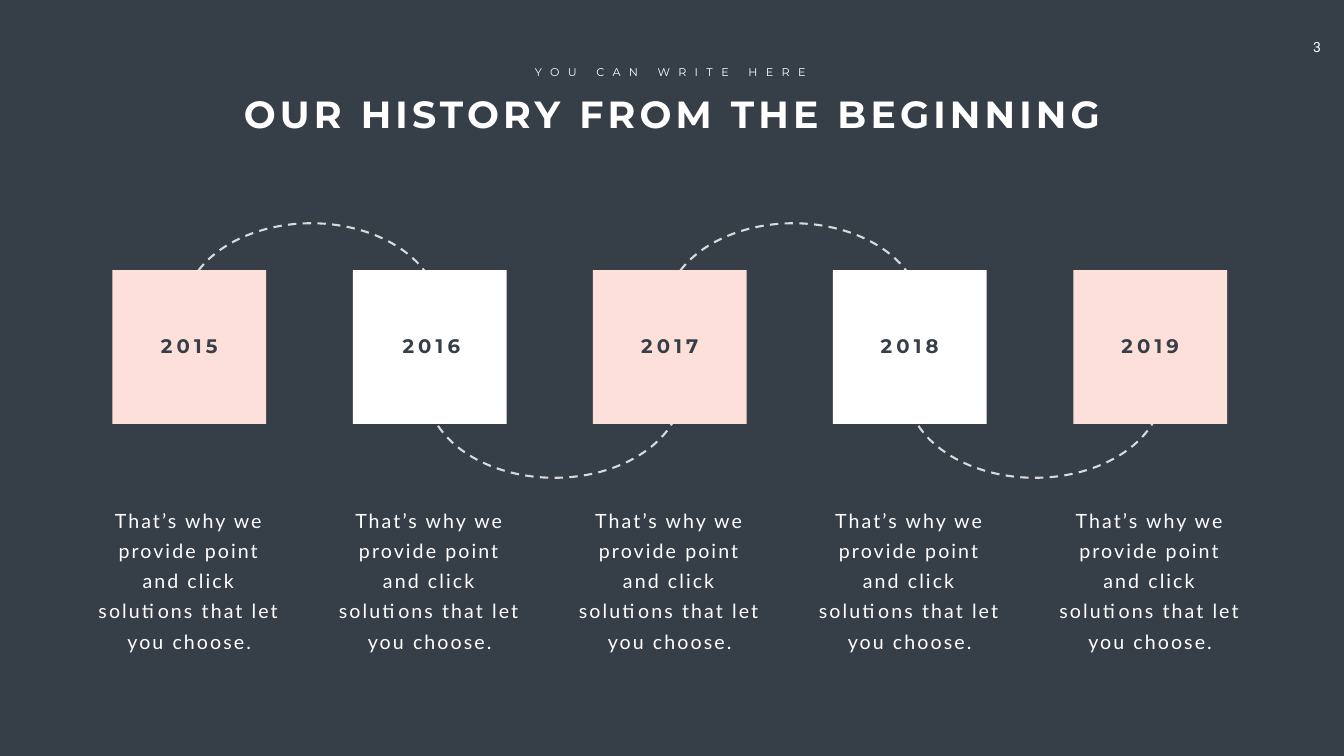
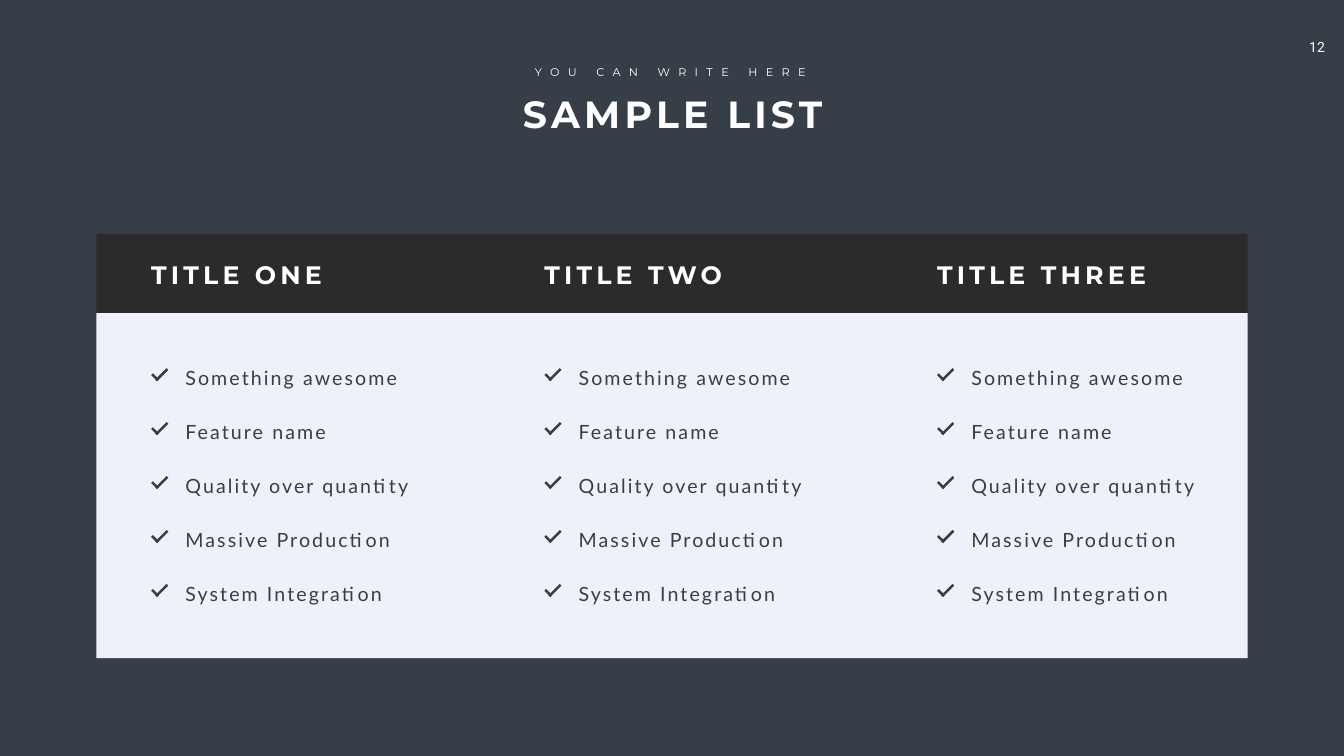
from typing import NamedTuple

from pptx import Presentation
from pptx import util as u
from pptx.dml.color import RGBColor
from pptx.enum import dml, shapes, text

PX = 9144  # EMU in one px, 100 px to the inch
WIDE, HIGH = 2666, 1500
HEX = {
    "slate": "363E48", "white": "FFFFFF", "blush": "FEE0DA",
    "dash": "D9D9D9", "ink": "2B2B2B", "pale": "EFF1F8",
}
BOLD, BODY, PAGE = "Montserrat", "Lato", "Roboto"
MID = text.PP_ALIGN.CENTER
LEFT = text.PP_ALIGN.LEFT


class Box(NamedTuple):
    left: int
    top: int
    width: int
    height: int


class Event(NamedTuple):
    year: str
    fill: str
    nudge: int = 0


class Head(NamedTuple):
    label: str
    width: int


class Item(NamedTuple):
    label: str
    width: int


class Arc(NamedTuple):
    left: int
    top: int
    turn: int


EVENTS = [Event("2015", "blush"), Event("2016", "white", 3), Event("2017", "blush"),
          Event("2018", "white"), Event("2019", "blush")]
ARCS = [Arc(1319, 443, 0), Arc(845, 591, 180), Arc(363, 443, 0), Arc(1798, 591, 180)]
STORY = "That’s why we provide point and click solutions that let you choose."
HEADS = [Head("TITLE ONE", 439), Head("TITLE TWO", 439), Head("TITLE THREE", 489)]
ITEMS = [Item("Something awesome", 443), Item("Feature name", 443),
         Item("Quality over quantity", 502), Item("Massive Production", 431),
         Item("System Integration", 431)]


# Helpers
def emu(box: Box) -> list[int]:
    return [n * PX for n in box]


def shade(name: str) -> RGBColor:
    return RGBColor.from_string(HEX[name])


def write(shape, words: str, *, size: int, font: str = BODY, color: str = "white",
          bold: bool = False, gap: int = 0, align=MID, wrap: bool = True,
          lead: int | None = None) -> None:
    frame = shape.text_frame
    frame.word_wrap = wrap
    frame.auto_size = text.MSO_AUTO_SIZE.SHAPE_TO_FIT_TEXT
    frame.vertical_anchor = text.MSO_ANCHOR.TOP
    para = frame.paragraphs[0]
    para.alignment = align
    if lead:
        para.line_spacing = u.Pt(lead)
    run = para.add_run()
    run.text = words
    run.font.size = u.Pt(size)
    run.font.name = font
    run.font.bold = bold
    run.font.color.rgb = shade(color)
    if gap:
        run._r.get_or_add_rPr().set("spc", str(gap * 100))


def label(slide, box: Box, words: str, **style):
    shape = slide.shapes.add_textbox(*emu(box))
    write(shape, words, **style)
    return shape


def block(tree, box: Box, fill: str, turn: int = 0) -> None:
    shape = tree.add_shape(shapes.MSO_SHAPE.RECTANGLE, *emu(box))
    shape.shadow.inherit = False
    shape.fill.solid()
    shape.fill.fore_color.rgb = shade(fill)
    shape.line.fill.background()
    shape.rotation = turn


def curve(slide, arc: Arc) -> None:
    shape = slide.shapes.add_shape(
        shapes.MSO_SHAPE.ARC, *emu(Box(arc.left, arc.top, 509, 357)))
    shape.adjustments[0] = 116.46
    shape.adjustments[1] = 207.91
    shape.rotation = arc.turn
    shape.shadow.inherit = False
    shape.fill.background()
    shape.line.color.rgb = shade("dash")
    shape.line.width = u.Pt(3)
    shape.line.dash_style = dml.MSO_LINE.DASH


def tick(slide, left: int, top: int) -> None:
    group = slide.shapes.add_group_shape().shapes
    block(group, Box(left, top + 5, 17, 5), "slate", 45)
    block(group, Box(left + 6, top, 32, 5), "slate", 315)


# Shared page: number, title and line above it
def page(deck, title: str, width: int, number: int):
    slide = deck.slides.add_slide(deck.slide_layouts[5])
    head = slide.shapes.title
    head.left, head.top, head.width, head.height = emu(
        Box((WIDE + 3 - width) // 2, 174, width, 101))
    write(head, title, size=54, font=BOLD, bold=True, gap=6)
    label(slide, Box(1041, 124, 578, 37), "YOU CAN WRITE HERE",
          size=16, font=BOLD, gap=12, wrap=False)
    note = label(slide, Box(2569, 67, 101, 54), str(number), size=20, font=PAGE)
    frame = note.text_frame
    frame.margin_left, frame.margin_right = 20 * PX, 34 * PX
    frame.margin_top = frame.margin_bottom = 10 * PX
    return slide


# Timeline of years
def history(deck) -> None:
    slide = page(deck, "OUR HISTORY FROM THE BEGINNING", 1748, 3)
    for arc in ARCS:
        curve(slide, arc)
    for i, event in enumerate(EVENTS):
        left = round(223 + 476.5 * i)
        block(slide.shapes, Box(left, 536, 305, 305), event.fill)
        label(slide, Box(left + 33 + event.nudge, 657, 239, 57), event.year,
              size=28, font=BOLD, color="slate", bold=True, gap=6)
        label(slide, Box(left - 39, 992, 383, 306), STORY, size=28, gap=3, lead=43)


# Three columns of ticked items
def sample(deck) -> None:
    slide = page(deck, "SAMPLE LIST", 1233, 12)
    block(slide.shapes, Box(191, 621, 2284, 685), "pale")
    block(slide.shapes, Box(191, 464, 2284, 157), "ink")
    for col, head in enumerate(HEADS):
        left = round(290 + 779.5 * col)
        label(slide, Box(left, 510, head.width, 71), head.label,
              size=36, font=BOLD, bold=True, gap=6, align=LEFT)
        for row, item in enumerate(ITEMS):
            top = 721 + 107 * row
            tick(slide, left + 9, top + 20)
            label(slide, Box(left + 68, top, item.width, 57), item.label,
                  size=28, color="slate", gap=3, align=LEFT)


def main() -> None:
    deck = Presentation()
    deck.slide_width, deck.slide_height = WIDE * PX, HIGH * PX
    back = deck.slide_master.background.fill
    back.solid()
    back.fore_color.rgb = shade("slate")
    history(deck)
    sample(deck)
    deck.save("out.pptx")


if __name__ == "__main__":
    main()
